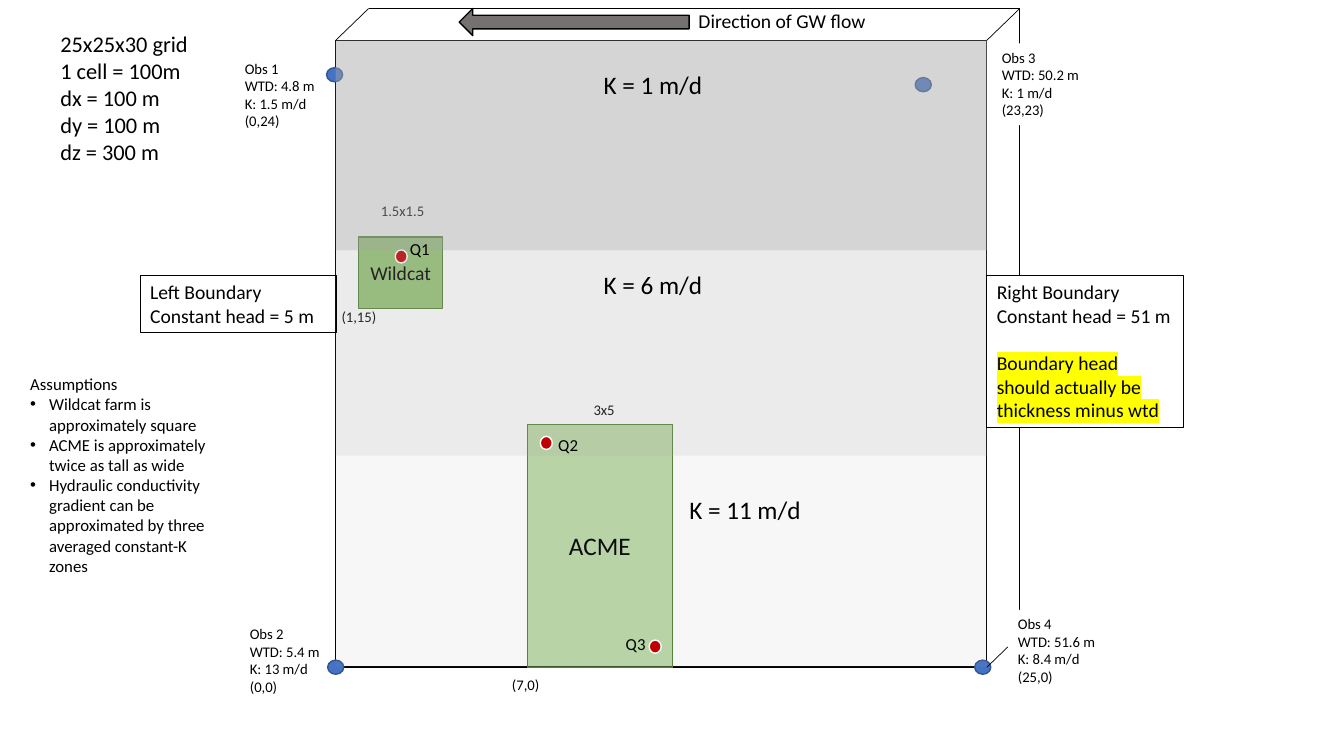
from dataclasses import dataclass

from lxml import etree
from pptx import Presentation
from pptx import util as u
from pptx.dml import color
from pptx.enum import shapes, text
from pptx.oxml import ns

# Content: all lengths in points, boxes as (left, top, width, height)
GRID_NOTES = ["25x25x30 grid", "1 cell = 100m", "dx = 100 m", "dy = 100 m", "dz = 300 m"]
ASSUMPTIONS = [
    "Wildcat farm is approximately square",
    "ACME is approximately twice as tall as wide",
    "Hydraulic conductivity gradient can be approximated by three averaged constant-K zones",
]
# Lines, label left and top, dot centre
WEST_WELLS = [
    (["Obs 1", "WTD: 4.8 m", "K: 1.5 m/d", "(0,24)"], (167.8, 38.9), (239, 53.4)),
    (["Obs 2", "WTD: 5.4 m", "K: 13 m/d", "(0,0)"], (171.4, 442.8), (239.8, 476.6)),
]
EAST_WELLS = [
    (["Obs 3", "WTD: 50.2 m", "K: 1 m/d", "(23,23)"], (708.5, 31), (659.5, 60.5)),
    (["Obs 4", "WTD: 51.6 m", "K: 8.4 m/d", "(25,0)"], (720, 435.6), (702, 476.6)),
]
# Zone height, label, label left and top
ZONES = [
    (149.8, "K = 1 m/d", (424.1, 46.1), 46),
    (146.9, "K = 6 m/d", (424.1, 188.6), 22),
    (151.1, "K = 11 m/d", (485.3, 349.2), 8),
]
# Name, box, opacity, type size
FARMS = [
    ("Wildcat", (256.3, 169.2, 59.8, 51.1), 74, 14),
    ("ACME", (376.6, 303.1, 103.7, 173.5), 48, 18),
]
FARM_NOTES = [
    ("(1,15)", (236.9, 216, 48.2, 20.2)),
    ("1.5x1.5", (265, 140.4, 48.2, 20.2)),
    ("(7,0)", (358.6, 479.5, 36, 20.2)),
    ("3x5", (416.9, 283, 31.7, 20.2)),
]
# Pumping well: name, dot centre, label left and top
PUMPS = [
    ("Q1", (286.6, 183.2), (285.8, 167)),
    ("Q2", (390.2, 316.4), (391.7, 306.7)),
    ("Q3", (468, 461.9), (439.9, 449.3)),
]
LEFT_BOUNDARY = ["Left Boundary", "Constant head = 5 m"]
RIGHT_BOUNDARY = ["Right Boundary", "Constant head = 51 m"]
HEAD_WARNING = "Boundary head should actually be thickness minus wtd"
FLOW_LABEL = "Direction of GW flow"

AQUIFER = (239.8, 28.8, 465.1, 447.8)
DEPTH = (23.5, 22.7)  # offset of the back face


@dataclass(frozen=True)
class Theme:
    font: str = "Calibri"
    ink: str = "000000"
    paper: str = "FFFFFF"
    obs: str = "4472C4"
    obs_edge: str = "325491"
    farm: str = "70AD47"
    farm_edge: str = "538035"
    zone: str = "A5A5A5"
    pump: str = "C00000"
    arrow: str = "767171"
    mark: str = "FFFF00"
    grid: float = 16
    zone_label: float = 18
    label: float = 14
    note: float = 12
    small: float = 10.5


THEME = Theme()
KIND = shapes.MSO_SHAPE

prs = Presentation()
prs.slide_width, prs.slide_height = u.Pt(960), u.Pt(540)
slide = prs.slides.add_slide(prs.slide_layouts[1])


def rgb(value):
    return color.RGBColor.from_string(value)


def points(values):
    return [u.Pt(v) for v in values]


def write(frame, lines, size, align=text.PP_ALIGN.LEFT, anchor=text.MSO_ANCHOR.TOP):
    frame.word_wrap = True
    frame.auto_size = text.MSO_AUTO_SIZE.NONE
    frame.vertical_anchor = anchor
    for i, line in enumerate(lines):
        paragraph = frame.paragraphs[0] if i == 0 else frame.add_paragraph()
        paragraph.alignment = align
        paragraph.space_before = u.Pt(0)
        run = paragraph.add_run()
        run.text = line
        run.font.name, run.font.size = THEME.font, u.Pt(size)
        run.font.color.rgb = rgb(THEME.ink)
    return frame.paragraphs


def label(lines, box, size):
    return write(slide.shapes.add_textbox(*points(box)).text_frame, lines, size)


def block(kind, box, fill=None, edge=None, width=1, opacity=100):
    shape = slide.shapes.add_shape(kind, *points(box))
    shape.shadow.inherit = False
    if fill:
        shape.fill.solid()
        shape.fill.fore_color.rgb = rgb(fill)
        if opacity < 100:
            tint = shape.fill._xPr.find(".//" + ns.qn("a:srgbClr"))
            etree.SubElement(tint, ns.qn("a:alpha"), val=str(opacity * 1000))
    else:
        shape.fill.background()
    if edge:
        shape.line.color.rgb, shape.line.width = rgb(edge), u.Pt(width)
    else:
        shape.line.fill.background()
    return shape


def dot(centre, size, fill, edge):
    (x, y), (w, h) = centre, size
    block(KIND.OVAL, (x - w / 2, y - h / 2, w, h), fill, edge)


def edge_line(start, end):
    line = slide.shapes.add_connector(shapes.MSO_CONNECTOR.STRAIGHT, *points(start + end))
    line.line.color.rgb, line.line.width = rgb(THEME.ink), u.Pt(0.5)
    etree.SubElement(line._element.spPr, ns.qn("a:effectLst"))


# Assumptions list
slide.shapes.title.element.getparent().remove(slide.shapes.title.element)
assumptions = slide.placeholders[1]
assumptions.left, assumptions.top, assumptions.width, assumptions.height = points(
    (14.4, 263.5, 147.6, 165.6))
heading, *bullets = write(assumptions.text_frame, ["Assumptions"] + ASSUMPTIONS, THEME.note)
for paragraph, indent, tag in [(heading, 0, "a:buNone")] + [(b, 13.5, "a:buChar") for b in bullets]:
    props = paragraph._p.get_or_add_pPr()
    props.set("marL", str(u.Pt(indent)))
    props.set("indent", str(-u.Pt(indent)))
    if tag == "a:buChar":
        etree.SubElement(props, ns.qn("a:buFont"), typeface="Arial")
    bullet = etree.SubElement(props, ns.qn(tag))
    if tag == "a:buChar":
        bullet.set("char", "•")

# Aquifer front face, grid notes and observation wells
left, top, width, height = AQUIFER
right, bottom = left + width, top + height
block(KIND.RECTANGLE, AQUIFER, edge=THEME.ink)
label(GRID_NOTES, (36, 18, 185.8, 104.4), THEME.grid)
for lines, corner, centre in WEST_WELLS + EAST_WELLS:
    dot(centre, (11.5, 10.1), THEME.obs, THEME.obs_edge)
for lines, corner, centre in WEST_WELLS:
    label(lines, corner + (69.1, 58.3), THEME.small)

# Farms
for name, box, opacity, size in FARMS:
    farm = block(KIND.RECTANGLE, box, THEME.farm, THEME.farm_edge, opacity=opacity)
    write(farm.text_frame, [name], size, text.PP_ALIGN.CENTER, text.MSO_ANCHOR.MIDDLE)
    if name == "Wildcat":
        dot(PUMPS[0][1], (8.6, 9.4), THEME.pump, THEME.paper)
for note, box in FARM_NOTES:
    label([note], box, THEME.small)

# Conductivity zones, stacked from the top
zone_top = top
for zone_height, name, corner, opacity in ZONES:
    block(KIND.RECTANGLE, (left, zone_top, width, zone_height), THEME.zone, opacity=opacity)
    label([name], corner + (96.5, 28.8), THEME.zone_label)
    zone_top += zone_height

# Flow direction
block(KIND.LEFT_ARROW, (328, 6.1, 164.2, 19.4), THEME.arrow, THEME.ink)
label([FLOW_LABEL], (491.8, 2.9, 140.4, 24.5), THEME.label)

# Back edges of the aquifer block
back_left, back_right = left + DEPTH[0], right + DEPTH[0]
back_top, back_bottom = top - DEPTH[1], bottom - DEPTH[1]
edge_line((right, top), (back_right, back_top))
edge_line((right, bottom), (back_right, back_bottom))
edge_line((back_right, back_top), (back_right, back_bottom))
edge_line((left, top), (back_left, back_top))
edge_line((back_left, back_top), (back_right, back_top))

# East wells and boundary boxes
for lines, corner, centre in EAST_WELLS:
    well = block(KIND.RECTANGLE, corner + (87.8, 58.3), THEME.paper)
    write(well.text_frame, lines, THEME.small)
west = block(KIND.RECTANGLE, (100.1, 196.6, 140.4, 41), edge=THEME.ink, width=0.75)
write(west.text_frame, LEFT_BOUNDARY, THEME.label)
east = block(KIND.RECTANGLE, (right, 196.6, 140.4, 108.7), THEME.paper, THEME.ink, 0.75)
warning = write(east.text_frame, RIGHT_BOUNDARY + [HEAD_WARNING], THEME.label)[-1]
warning.space_before = u.Pt(17)
highlight = etree.Element(ns.qn("a:highlight"))
etree.SubElement(highlight, ns.qn("a:srgbClr"), val=THEME.mark)
warning.runs[0].font._element.find(ns.qn("a:solidFill")).addnext(highlight)

# Pumping wells
for name, centre, corner in PUMPS:
    if name != "Q1":
        dot(centre, (8.6, 9.4), THEME.pump, THEME.paper)
    label([name], corner + (36, 21.6), THEME.note)

prs.save("out.pptx")
